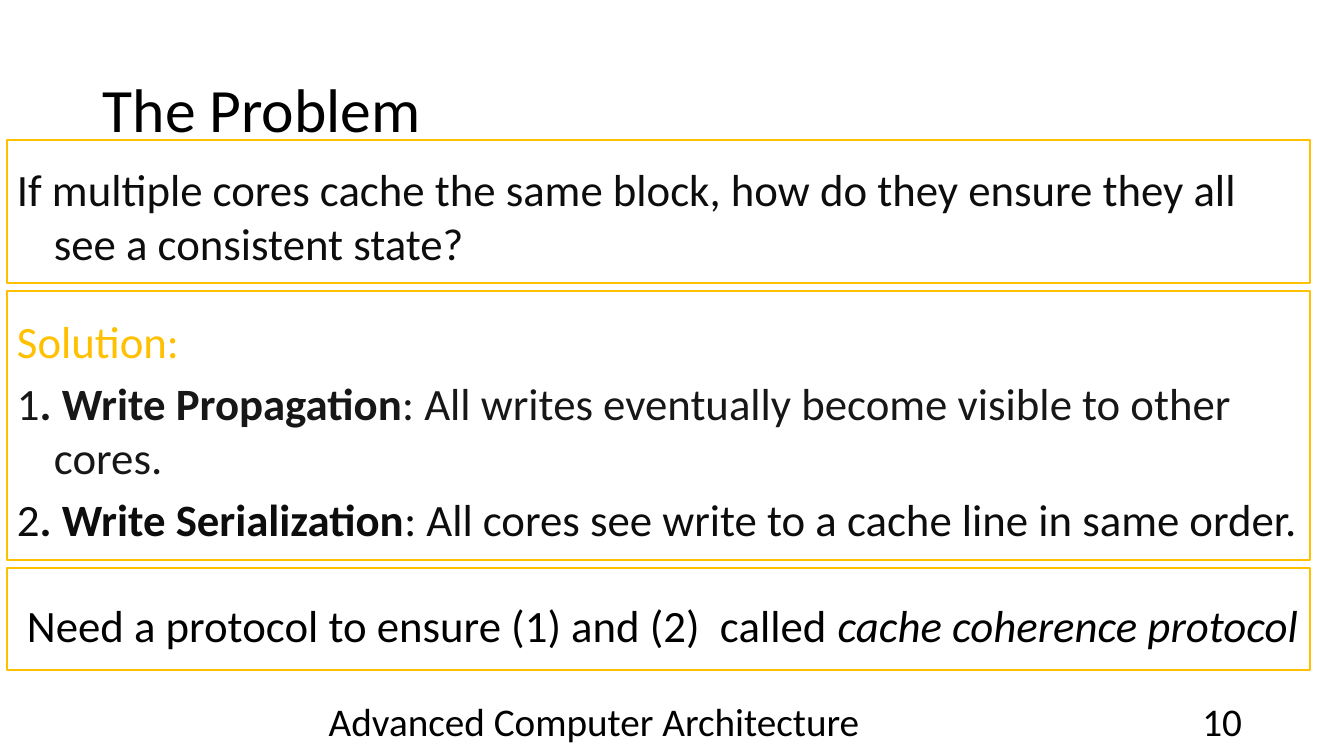
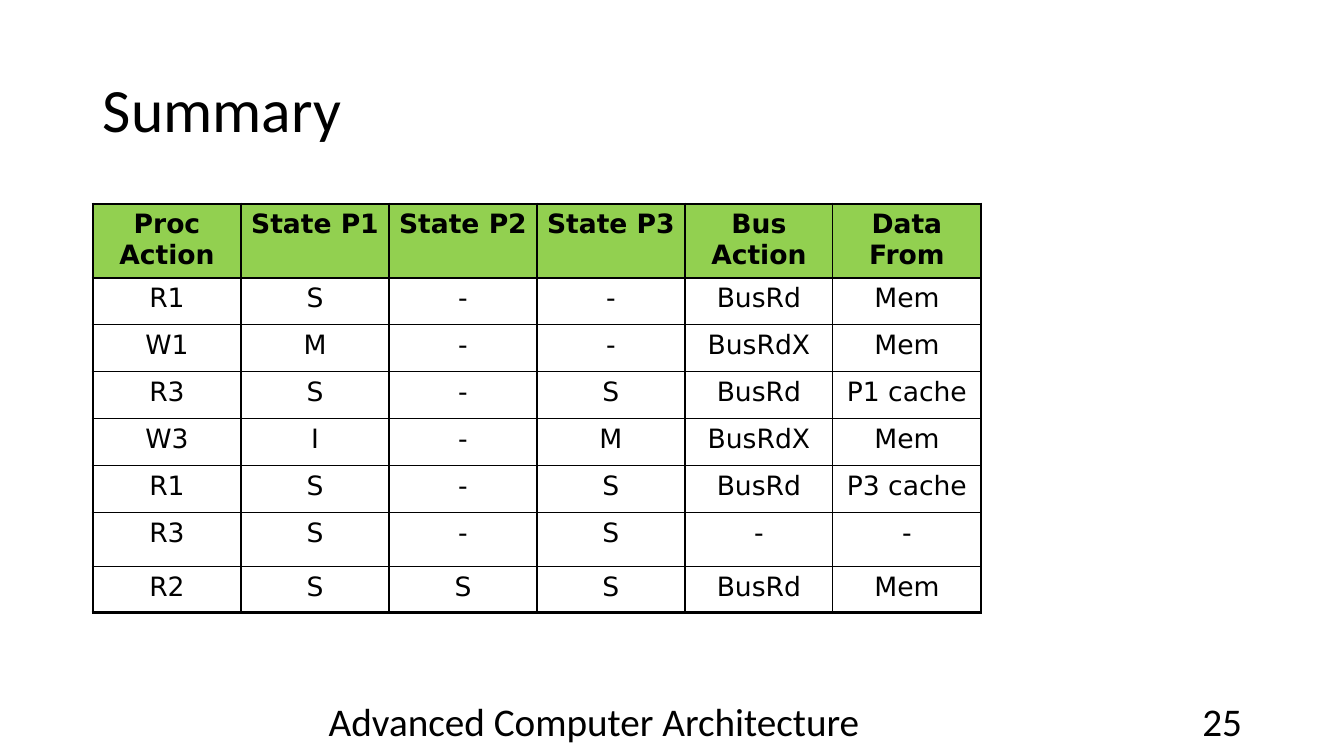
from lxml import etree
from pptx import Presentation
from pptx import util as u
from pptx.dml.color import RGBColor
from pptx.enum import shapes, text
from pptx.oxml.ns import qn

BLACK, INK, DARK, WHITE, GOLD, GREEN = "000000", "0D0D0D", "181717", "FFFFFF", "FFC000", "92D050"
BODY_FONT, TABLE_FONT = "Calibri", "DejaVu Sans"
FOOTER = "Advanced Computer Architecture"

PROBLEM = [
    [("If multiple cores cache the same block, how do they ensure they all see a consistent state?", INK, "")],
]
SOLUTION = [
    [("Solution:", GOLD, "")],
    [("1", DARK, ""), (". Write Propagation", DARK, "bold"),
     (": All writes eventually become visible to other cores.", DARK, "")],
    [("2", INK, ""), (". Write Serialization", INK, "bold"),
     (": All cores see write to a cache line in same order.", INK, "")],
]
PROTOCOL = [
    [("Need a protocol to ensure (1) and (2)  called ", BLACK, ""), ("cache coherence protocol", BLACK, "italic")],
]
PANELS = [
    {"height": 143, "inset_left": 10, "inset_top": 13, "paragraphs": PROBLEM},
    {"height": 269, "inset_left": 10, "inset_top": 13, "paragraphs": SOLUTION},
    {"height": 102, "inset_left": 20, "inset_top": 16, "paragraphs": PROTOCOL},
]
PANEL_LEFT, PANEL_TOP, PANEL_WIDTH, PANEL_GAP, HANGING = 7, 140, 1303, 8, 37

TRACE = [
    ("Proc Action", "State P1", "State P2", "State P3", "Bus Action", "Data From"),
    ("R1", "S", "-", "-", "BusRd", "Mem"),
    ("W1", "M", "-", "-", "BusRdX", "Mem"),
    ("R3", "S", "-", "S", "BusRd", "P1 cache"),
    ("W3", "I", "-", "M", "BusRdX", "Mem"),
    ("R1", "S", "-", "S", "BusRd", "P3 cache"),
    ("R3", "S", "-", "S", "-", "-"),
    ("R2", "S", "S", "S", "BusRd", "Mem"),
]
COLUMN_WIDTH = 148
ROW_HEIGHTS = [73, 47, 47, 47, 47, 47, 54, 46]
THIN, THICK = 1, 2.25


def px(length):
    return u.Emu(round(length * 914400 / 100.8))


def colour(value):
    return RGBColor.from_string(value)


def add_span(para, words, size, font=BODY_FONT, ink=BLACK, style=""):
    span = para.add_run()
    span.text = words
    span.font.size = u.Pt(size)
    span.font.name = font
    span.font.color.rgb = colour(ink)
    span.font.bold = style == "bold"
    span.font.italic = style == "italic"


def add_label(page, area, words, size, align):
    frame = page.shapes.add_textbox(*map(px, area)).text_frame
    frame.word_wrap = True
    frame.vertical_anchor = text.MSO_ANCHOR.MIDDLE
    para = frame.paragraphs[0]
    para.alignment = align
    add_span(para, words, size)
    return para


def add_page(deck, title, number):
    page = deck.slides.add_slide(deck.slide_layouts[6])
    heading = add_label(page, (93, 40, 1159, 146), title, 44, text.PP_ALIGN.LEFT)
    heading.line_spacing = 0.9
    add_label(page, (950, 701, 302, 40), number, 28, text.PP_ALIGN.RIGHT)
    add_label(page, (289, 701, 610, 40), FOOTER, 28, text.PP_ALIGN.CENTER)
    return page


def add_panel(page, top, panel):
    box = page.shapes.add_shape(
        shapes.MSO_SHAPE.RECTANGLE, px(PANEL_LEFT), px(top), px(PANEL_WIDTH), px(panel["height"]))
    box.shadow.inherit = False
    box.fill.solid()
    box.fill.fore_color.rgb = colour(WHITE)
    box.line.color.rgb = colour(GOLD)
    box.line.width = u.Pt(1)
    frame = box.text_frame
    frame.word_wrap = True
    frame.vertical_anchor = text.MSO_ANCHOR.MIDDLE
    frame.margin_left = px(panel["inset_left"])
    frame.margin_top = px(panel["inset_top"])
    for index, spans in enumerate(panel["paragraphs"]):
        para = frame.add_paragraph() if index else frame.paragraphs[0]
        para.alignment = text.PP_ALIGN.LEFT
        if index:
            para.space_before = u.Pt(6)
        properties = para._p.get_or_add_pPr()
        properties.set("marL", str(px(HANGING)))
        properties.set("indent", str(-px(HANGING)))
        for words, ink, style in spans:
            add_span(para, words, 32, ink=ink, style=style)


def add_border(cell, side, width):
    line = etree.SubElement(cell._tc.get_or_add_tcPr(), qn("a:ln" + side), w=str(u.Pt(width)))
    fill = etree.SubElement(line, qn("a:solidFill"))
    etree.SubElement(fill, qn("a:srgbClr"), val=BLACK)


def add_trace(page):
    row_count, column_count = len(TRACE), len(TRACE[0])
    table = page.shapes.add_table(
        row_count, column_count, px(93), px(204),
        px(COLUMN_WIDTH * column_count), px(sum(ROW_HEIGHTS))).table
    table.first_row = table.horz_banding = False
    for column in table.columns:
        column.width = px(COLUMN_WIDTH)
    for r, values in enumerate(TRACE):
        table.rows[r].height = px(ROW_HEIGHTS[r])
        for c, words in enumerate(values):
            cell = table.cell(r, c)
            outer = {"L": c == 0, "R": c == column_count - 1, "T": r == 0, "B": r == row_count - 1}
            for side, is_outer in outer.items():
                add_border(cell, side, THICK if is_outer else THIN)
            if r == 0:
                cell.fill.solid()
                cell.fill.fore_color.rgb = colour(GREEN)
            else:
                cell.fill.background()
            para = cell.text_frame.paragraphs[0]
            para.alignment = text.PP_ALIGN.CENTER
            add_span(para, words, 19, TABLE_FONT, style="" if r else "bold")


def main():
    deck = Presentation()
    deck.slide_width, deck.slide_height = px(1344), px(756)
    problem = add_page(deck, "The Problem", "10")
    top = PANEL_TOP
    for panel in PANELS:
        add_panel(problem, top, panel)
        top += panel["height"] + PANEL_GAP
    add_trace(add_page(deck, "Summary", "25"))
    deck.save("out.pptx")


if __name__ == "__main__":
    main()
